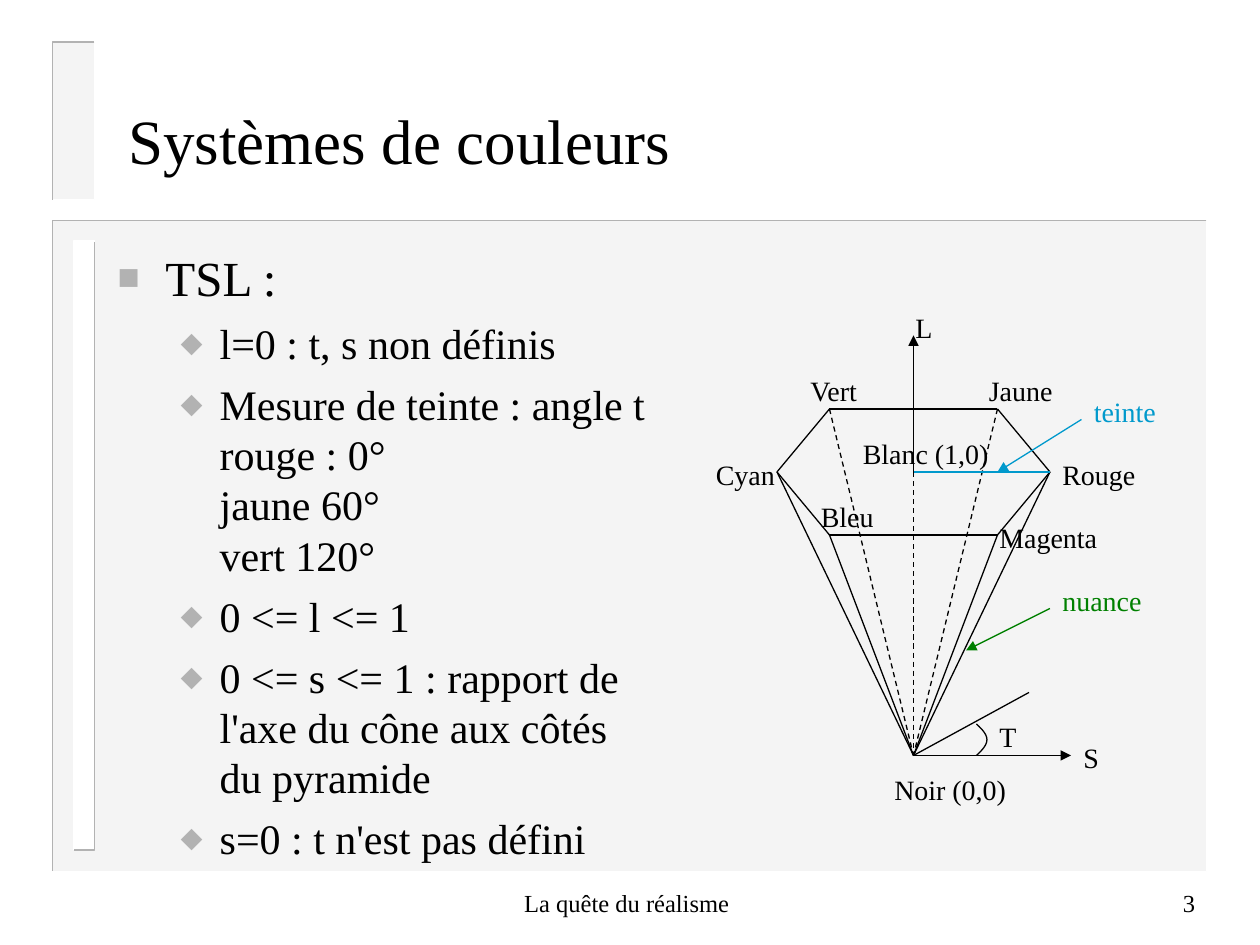
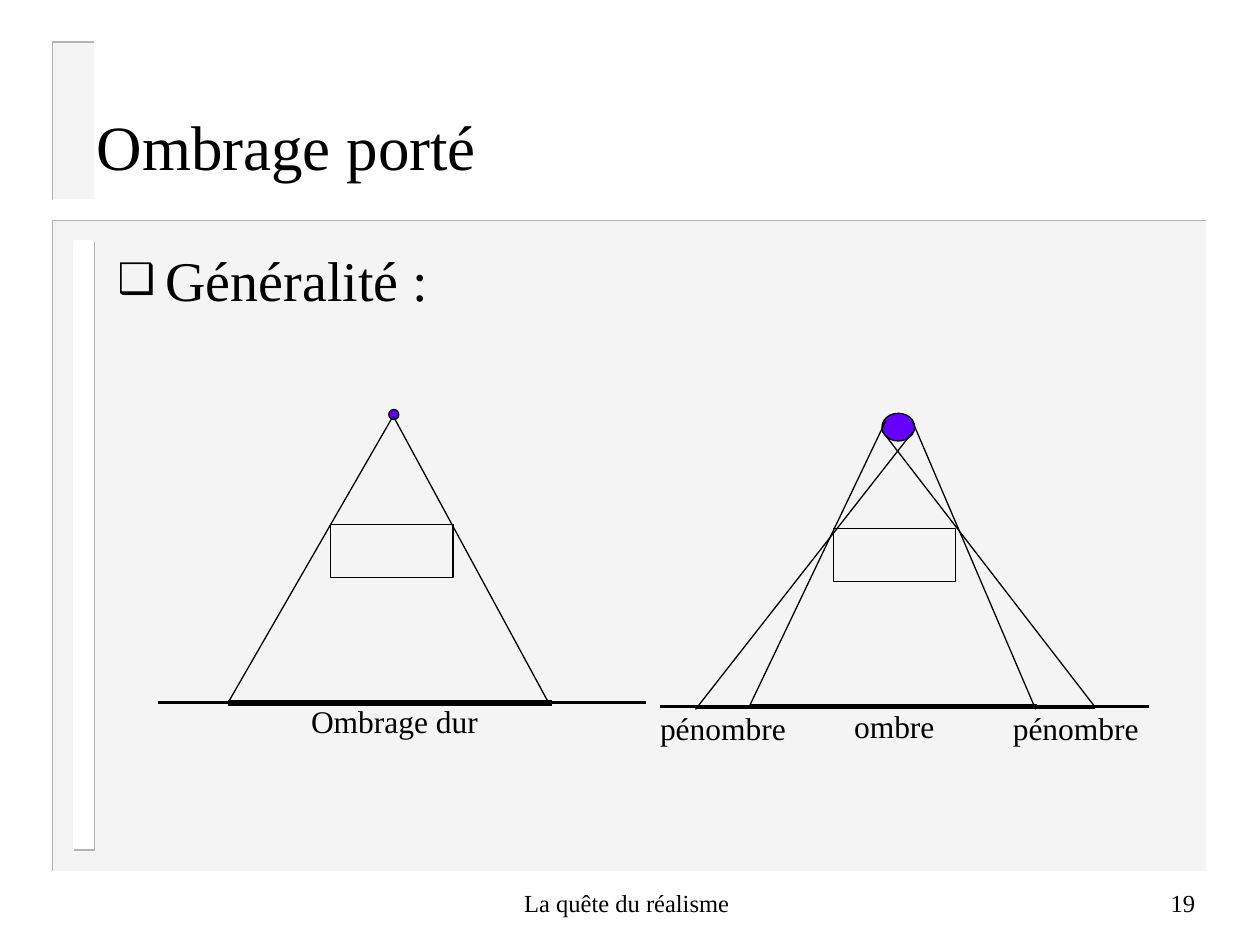
from dataclasses import dataclass
from math import pi, sin

from lxml.etree import SubElement
from pptx import Presentation
from pptx.dml.color import RGBColor
from pptx.enum.dml import MSO_LINE as Dash
from pptx.enum.shapes import MSO_CONNECTOR as Link, MSO_SHAPE as Shape
from pptx.enum.text import MSO_ANCHOR as Anchor, MSO_AUTO_SIZE as Fit, PP_ALIGN as Align
from pptx.oxml import parse_xml
from pptx.oxml.ns import nsdecls, qn
from pptx.util import Inches, Pt

BLACK = RGBColor(0x00, 0x00, 0x00)
WHITE = RGBColor(0xFF, 0xFF, 0xFF)
PALE = RGBColor(0xEA, 0xEA, 0xEA)
GREY = RGBColor(0xB2, 0xB2, 0xB2)
CYAN = RGBColor(0x00, 0x99, 0xCC)
GREEN = RGBColor(0x00, 0x80, 0x00)
VIOLET = RGBColor(0x66, 0x00, 0xFF)
FONT = "Times New Roman"
THIN = 0.74


@dataclass
class Grid:
    """Square cells counted from a corner given in inches."""
    left: float
    top: float
    step: float

    def spot(self, x, y):
        """Turn a column and a row into a place on the slide."""
        return Inches(self.left + x * self.step), Inches(self.top + y * self.step)

    def box(self, x, y, wide, high):
        """Turn a block of cells into left, top, width and height."""
        return *self.spot(x, y), Inches(wide * self.step), Inches(high * self.step)


PAGE = Grid(0, 0, 1 / 12)


def style(para, size, colour=BLACK, align=Align.LEFT):
    """Set the font and alignment of a paragraph."""
    para.font.name, para.font.size = FONT, Pt(size)
    para.font.color.rgb = colour
    para.alignment = align


def edge(shape, colour=BLACK, width=THIN):
    """Give a shape a plain outline and no shadow."""
    shape.shadow.inherit = False
    shape.line.color.rgb = colour
    shape.line.width = Pt(width)


def trace(slide, grid, dots, colour=BLACK, width=THIN):
    """Draw an open outline through the given cells."""
    first, *rest = [grid.spot(*dot) for dot in dots]
    pen = slide.shapes.build_freeform(*first)
    pen.add_line_segments(rest, close=False)
    shape = pen.convert_to_shape()
    shape.fill.background()
    edge(shape, colour, width)


def line(slide, grid, start, end, colour=BLACK, width=THIN, dash=False, head=False):
    """Draw a straight line, dashed or with an arrowhead if asked."""
    link = slide.shapes.add_connector(Link.STRAIGHT, *grid.spot(*start), *grid.spot(*end))
    link.line.color.rgb = colour
    link.line.width = Pt(width)
    if dash:
        link.line.dash_style = Dash.DASH
    if head:
        SubElement(link.line._get_or_add_ln(), qn("a:tailEnd"), type="triangle")
    SubElement(link._element.spPr, qn("a:effectLst"))


def label(slide, grid, x, y, wide, text, size=16, colour=BLACK):
    """Write a short label whose width is given in inches."""
    box = slide.shapes.add_textbox(*grid.spot(x, y), Inches(wide), Inches(size / 45))
    frame = box.text_frame
    frame.word_wrap = False
    frame.auto_size = Fit.SHAPE_TO_FIT_TEXT
    frame.text = text
    style(frame.paragraphs[0], size, colour)


def plate(slide, box, fill, upper, lower):
    """Draw a panel with an upper left and a lower right edge."""
    x, y, wide, high = box
    panel = slide.shapes.add_shape(Shape.RECTANGLE, *PAGE.box(*box))
    panel.shadow.inherit = False
    panel.fill.solid()
    panel.fill.fore_color.rgb = fill
    panel.line.fill.background()
    if fill == PALE:
        tint = panel._element.spPr.find(".//" + qn("a:srgbClr"))
        SubElement(tint, qn("a:alpha"), val="50000")
    right, low = x + wide, y + high
    for corner, colour in (((right, low), lower), ((x, y), upper)):
        trace(slide, PAGE, [(right, y), corner, (x, low)], colour, 1)


def foot(slide, box, text, align):
    """Write one part of the footer."""
    frame = slide.shapes.add_textbox(*PAGE.box(*box)).text_frame
    frame.word_wrap = True
    frame.vertical_anchor = Anchor.MIDDLE
    frame.text = text
    style(frame.paragraphs[0], 14, align=align)


def place(slide, holder, box):
    """Move a placeholder to a box, above the panels, and return its text frame."""
    slide.shapes._spTree.append(holder._element)
    holder.left, holder.top, holder.width, holder.height = PAGE.box(*box)
    frame = holder.text_frame
    frame.auto_size = Fit.NONE
    return frame


def base(deck, title, spot, number):
    """Add a slide with its panels, title and footer."""
    slide = deck.slides.add_slide(deck.slide_layouts[1])
    plate(slide, (5, 21, 109.9, 62), PALE, GREY, WHITE)
    plate(slide, (7, 22.95, 2, 58), WHITE, WHITE, GREY)
    plate(slide, (5, 4, 4, 15), PALE, GREY, WHITE)
    frame = place(slide, slide.shapes.title, spot)
    frame.vertical_anchor = Anchor.MIDDLE
    frame.text = title
    style(frame.paragraphs[0], 36)
    foot(slide, (40.7, 83, 38, 6), "La quête du réalisme", Align.CENTER)
    foot(slide, (90, 83, 25, 6), str(number), Align.RIGHT)
    return slide


def bullet(para, mark, colour, left, hang):
    """Give a paragraph a bullet and a hanging indent in inches."""
    props = para._p.get_or_add_pPr()
    props.set("marL", str(Inches(left)))
    props.set("indent", str(-Inches(hang)))
    space = nsdecls("a")
    for part in (f'<a:buClr {space}><a:srgbClr val="{colour}"/></a:buClr>',
                 f'<a:buSzPct {space} val="75000"/>',
                 f'<a:buChar {space} char="{mark}"/>'):
        props.insert_element_before(parse_xml(part), "a:tabLst", "a:defRPr", "a:extLst")


def body(slide, box, head, size, mark, colour, points=()):
    """Fill the body with a heading and its points."""
    frame = place(slide, slide.placeholders[1], box)
    para = frame.paragraphs[0]
    para.text = head
    para.space_before = Pt(size / 4)
    style(para, size)
    bullet(para, mark, colour, 0.38, 0.38)
    for text in points:
        para = frame.add_paragraph()
        para.text, para.level = text, 1
        para.space_before = Pt(6)
        style(para, 24)
        bullet(para, "⬥", GREY, 0.81, 0.31)


def cone(slide, grid):
    """Draw the colour pyramid with its axes and labels."""
    apex, mid = (13, 40), (13, 13)
    green, yellow, red = (5, 7), (21, 7), (26, 13)
    pink, blue, cyan = (21, 19), (5, 19), (0, 13)
    ring = [green, yellow, red, pink, blue, cyan]
    for start, end in zip(ring, ring[1:] + ring[:1]):
        line(slide, grid, start, end)
    for start in ring + [mid]:
        line(slide, grid, start, apex, dash=start in (green, yellow, mid))
    line(slide, grid, mid, (13, 0), head=True)
    line(slide, grid, apex, (28, 40), head=True)
    line(slide, grid, apex, (24, 34))
    trace(slide, grid, [(19 + sin(pi * i / 12), 40 - i / 4) for i in range(13)])
    for x, y, wide, text in (
            (26, 11, 0.9, "Rouge"), (2, 3, 0.7, "Vert"), (3, 15, 0.75, "Bleu"),
            (10, 41, 1.2, "Noir (0,0)"), (19, 3, 0.8, "Jaune"),
            (20, 17, 1.1, "Magenta"), (-7, 11, 0.75, "Cyan"),
            (7, 9, 1.3, "Blanc (1,0)"), (20, 36, 0.4, "T"),
            (28, 38, 0.4, "S"), (12, -3, 0.4, "L")):
        label(slide, grid, x, y, wide, text)
    line(slide, grid, mid, red, CYAN)
    line(slide, grid, (29, 8), (21, 13), CYAN, head=True)
    label(slide, grid, 29, 5, 0.8, "teinte", colour=CYAN)
    line(slide, grid, (26, 26), (18, 30), GREEN, head=True)
    label(slide, grid, 26, 23, 0.9, "nuance", colour=GREEN)


def scene(slide, grid, lamp, rays, shades, names):
    """Draw a lamp, a block, the ground and the shadow they cast."""
    block = slide.shapes.add_shape(Shape.RECTANGLE, *grid.box(137.5, 91.5, 97, 42))
    block.fill.background()
    edge(block)
    line(slide, grid, (0, 232.5), (388, 232.5), width=1.5)
    bulb = slide.shapes.add_shape(Shape.OVAL, *grid.box(*lamp))
    bulb.fill.solid()
    bulb.fill.fore_color.rgb = VIOLET
    edge(bulb)
    for start, end in rays:
        line(slide, grid, start, end)
    for left, right, width in shades:
        line(slide, grid, (left, 233), (right, 233), width=width)
    for x, y, wide, text in names:
        label(slide, grid, x, y, wide, text, 18)


def colours(deck):
    """Build the slide on colour systems."""
    slide = base(deck, "Systèmes de couleurs", (11, 8, 102, 10.5), 3)
    body(slide, (10, 23, 54, 60), "TSL :", 28, "■", GREY, (
        "l=0 : t, s non définis",
        "Mesure de teinte : angle t\vrouge : 0°\vjaune 60°\vvert 120°",
        "0 <= l <= 1",
        "0 <= s <= 1 : rapport de l'axe du cône aux côtés du pyramide",
        "s=0 : t n'est pas défini"))
    cone(slide, Grid(74 / 12, 31.95 / 12, 1 / 12))


def shadows(deck):
    """Build the slide on cast shadows."""
    slide = base(deck, "Ombrage porté", (8, 9.33, 102, 9), 19)
    body(slide, (10, 22.8, 104, 60), "Généralité :", 32, "❑", BLACK)
    scene(slide, Grid(1.25, 3.25, 0.01), (183.5, 0, 8, 8),
          [((186, 7), (57, 231)), ((187, 5), (310, 232))],
          [(56, 313, 3)], [(112, 227, 1.65, "Ombrage dur")])
    scene(slide, Grid(5.24, 3.28, 0.01), (176, 0, 26, 22),
          [((179, 6), (71, 232)), ((200, 6), (298, 235)),
           ((201, 14), (28, 235)), ((176, 14), (345, 233))],
          [(71, 299, 3), (29, 79, 2.25), (299, 345, 2.25)],
          [(-10, 230, 1.3, "pénombre"), (144, 228, 0.95, "ombre"),
           (270, 230, 1.3, "pénombre")])


deck = Presentation()
deck.slide_width, deck.slide_height = Inches(10), Inches(7.5)
colours(deck)
shadows(deck)
deck.save("out.pptx")
